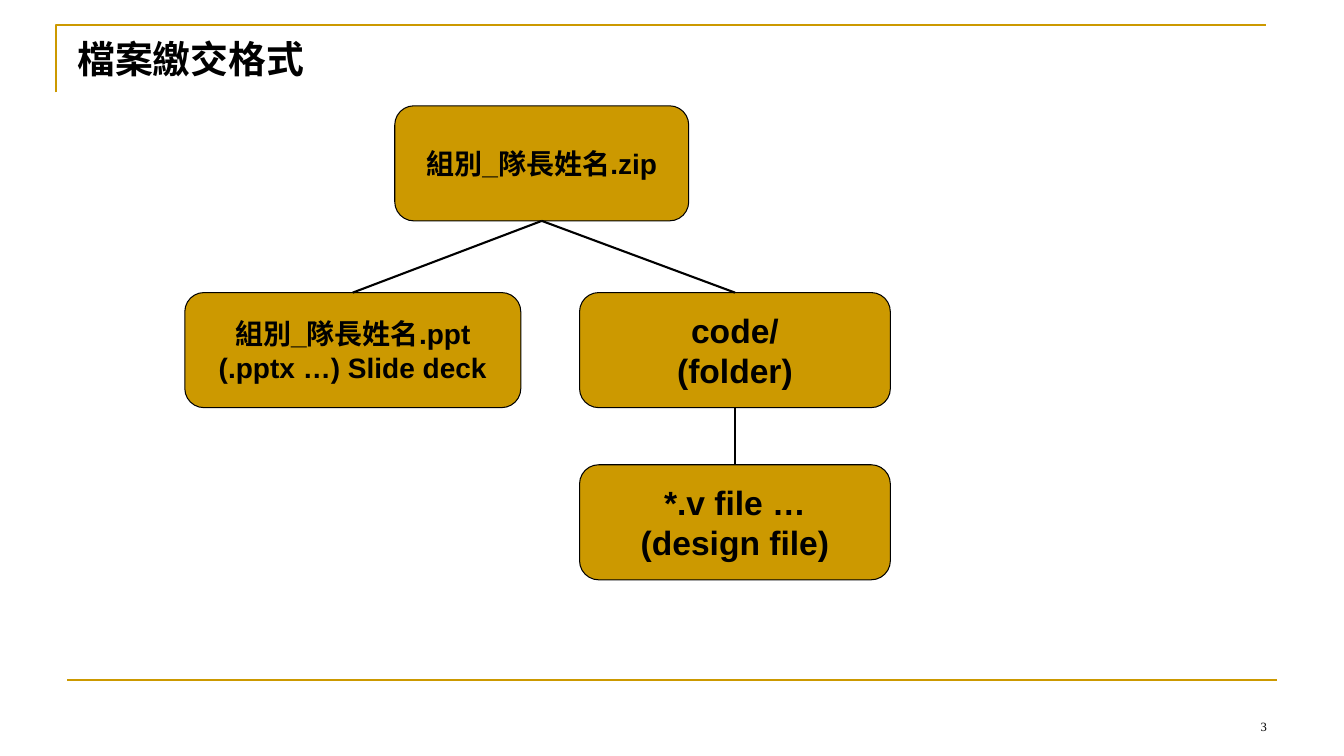
import pptx
import pptx.dml.color
import pptx.enum.shapes
import pptx.enum.text
import pptx.util
from lxml import etree

Pt = pptx.util.Pt
ALIGN = pptx.enum.text.PP_ALIGN
ANCHOR = pptx.enum.text.MSO_ANCHOR
SHAPE = pptx.enum.shapes.MSO_SHAPE
CONNECTOR = pptx.enum.shapes.MSO_CONNECTOR
TOP, BOTTOM = 0, 2


def color(fmt, value):
    fmt.rgb = pptx.dml.color.RGBColor.from_string(value)


def write(tf, text, font="Arial", size=20, bold=False, ink="000000",
          align=ALIGN.LEFT, anchor=ANCHOR.TOP):
    tf.word_wrap = True
    tf.auto_size = pptx.enum.text.MSO_AUTO_SIZE.NONE
    tf.vertical_anchor = anchor
    tf.text = text
    for p in tf.paragraphs:
        p.alignment = align
        for r in p.runs:
            r.font.name, r.font.size, r.font.bold = font, Pt(size), bold
            color(r.font.color, ink)


class Deck:
    gold, ink, serif = "CC9900", "000000", "Times New Roman"

    def __init__(self, prs):
        self.s = prs.slides.add_slide(prs.slide_layouts[5])

    def stroke(self, sp, value, width):
        sp.line.width = Pt(width)
        color(sp.line.color, value)

    def title(self, text, x, y, w, h):
        sp = self.s.shapes.title
        sp.left, sp.top, sp.width, sp.height = map(Pt, (x, y, w, h))
        write(sp.text_frame, text, font=self.serif, size=27, bold=True)

    def text(self, text, x, y, w, h, **fmt):
        sp = self.s.shapes.add_textbox(*map(Pt, (x, y, w, h)))
        write(sp.text_frame, text, **fmt)

    def corner(self, *points):
        start, *rest = [tuple(map(Pt, point)) for point in points]
        builder = self.s.shapes.build_freeform(*start)
        builder.add_line_segments(rest, close=False)
        sp = builder.convert_to_shape()
        sp.shadow.inherit = False
        sp.fill.background()
        self.stroke(sp, self.gold, 1.5)

    def line(self, x1, y1, x2, y2, ink):
        c = self.s.shapes.add_connector(CONNECTOR.STRAIGHT, *map(Pt, (x1, y1, x2, y2)))
        self.stroke(c, ink, 1.5)
        etree.SubElement(c.element.spPr, pptx.oxml.ns.qn("a:effectLst"))
        return c

    def box(self, text, x, y, w, size):
        sp = self.s.shapes.add_shape(SHAPE.ROUNDED_RECTANGLE, *map(Pt, (x, y, w, 82.2)))
        sp.shadow.inherit = False
        sp.fill.solid()
        color(sp.fill.fore_color, self.gold)
        self.stroke(sp, self.ink, 0.75)
        write(sp.text_frame, text, size=size, bold=True,
              align=ALIGN.CENTER, anchor=ANCHOR.MIDDLE)
        return sp

    def branch(self, parent, child):
        c = self.line(0, 0, 0, 0, self.ink)
        c.begin_connect(parent, BOTTOM)
        c.end_connect(child, TOP)


def main():
    prs = pptx.Presentation()
    prs.slide_width, prs.slide_height = Pt(960), Pt(540)
    d = Deck(prs)

    # Frame, title and page number
    d.corner((40, 66), (40, 18), (904, 18))
    d.line(48, 486, 912, 486, d.gold)
    d.title("檔案繳交格式", 48, 21.6, 893.5, 95)
    d.text("3", 688, 492, 224, 36, font=d.serif, size=9,
           align=ALIGN.RIGHT, anchor=ANCHOR.BOTTOM)

    # File tree
    archive = d.box("組別_隊長姓名.zip", 282, 75.6, 210, 20)
    slides = d.box("組別_隊長姓名.ppt (.pptx …) Slide deck", 132, 209, 240, 20)
    code = d.box("code/\n(folder)", 414, 209, 222, 24)
    design = d.box("*.v file …\n(design file)", 414, 332, 222, 24)

    # Branches
    for parent, child in ((archive, slides), (archive, code), (code, design)):
        d.branch(parent, child)

    prs.save("out.pptx")


if __name__ == "__main__":
    main()
